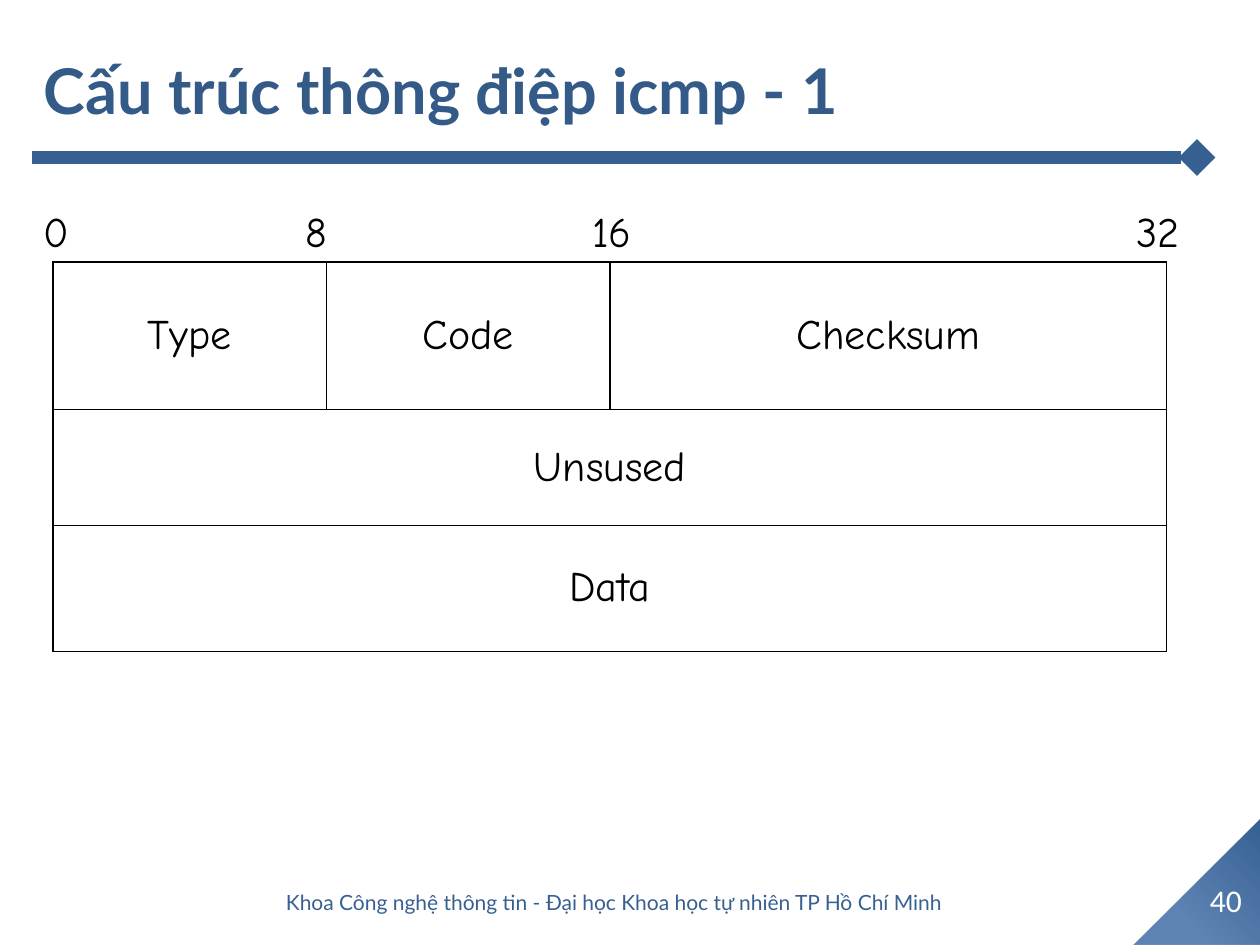
import pptx
import pptx.util
import pptx.dml.color
import pptx.enum.shapes
import pptx.enum.text
import pptx.oxml
import pptx.oxml.ns

Inches = pptx.util.Inches
Align = pptx.enum.text.PP_ALIGN
Anchor = pptx.enum.text.MSO_ANCHOR

TITLE = "Cấu trúc thông điệp icmp - 1"
FOOTER = "Khoa Công nghệ thông tin - Đại học Khoa học tự nhiên TP Hồ Chí Minh"
PAGE_NUMBER = "40"
BIT_MARKS = [("0", 0.25, 0.4), ("8", 2.33, 0.4), ("16", 4.6, 0.55), ("32", 8.92, 0.61)]
FIELD_ROWS = [["Type", "Code", "Checksum"], ["Unsused"], ["Data"]]
COLUMN_WIDTHS = [2.17, 2.25, 4.42]
ROW_HEIGHTS = [1.17, 0.92, 1]

THEME = {
    "title": {"font": "Lato", "size": 36, "color": "345A88", "bold": True},
    "body": {"font": "Comic Neue", "size": 24, "color": "000000"},
    "number": {"font": "Calibri", "size": 18, "color": "FFFFFF"},
    "footer": {"font": "Lato", "size": 12, "color": "376092"},
    "accent": "376092",
    "accent_light": "3D6CA4",
    "border": "000000",
}


def rgb(code):
    return pptx.dml.color.RGBColor.from_string(code)


def write_text(frame, text, font, size, color, bold=False, align=Align.LEFT):
    para = frame.paragraphs[0]
    para.alignment = align
    span = para.add_run()
    span.text = text
    span.font.name = font
    span.font.size = pptx.util.Pt(size)
    span.font.bold = bold
    span.font.color.rgb = rgb(color)


def add_text(page, text, place, style, align=Align.LEFT, anchor=Anchor.MIDDLE, wrap=True):
    box = page.shapes.add_textbox(*map(Inches, place))
    box.text_frame.word_wrap = wrap
    box.text_frame.vertical_anchor = anchor
    write_text(box.text_frame, text, align=align, **THEME[style])


def add_xml(parent, body):
    element = pptx.oxml.parse_xml(body.replace(">", " " + pptx.oxml.ns.nsdecls("a") + ">", 1))
    parent.append(element)
    return element


def add_corner(page):
    corner = page.shapes.add_shape(
        pptx.enum.shapes.MSO_SHAPE.RIGHT_TRIANGLE, Inches(9), Inches(6.5), Inches(1), Inches(1))
    corner.rotation = 270
    corner.shadow.inherit = False
    corner.line.fill.background()
    corner.fill.gradient()
    properties = corner.element.spPr
    gradient = properties.find(pptx.oxml.ns.qn("a:gradFill"))
    replacement = add_xml(properties, (
        '<a:gradFill rotWithShape="0"><a:gsLst>'
        f'<a:gs pos="0"><a:srgbClr val="{THEME["accent"]}"/></a:gs>'
        f'<a:gs pos="68000"><a:srgbClr val="{THEME["accent_light"]}">'
        '<a:alpha val="83000"/></a:srgbClr></a:gs></a:gsLst>'
        '<a:path path="circle"><a:fillToRect l="100000" b="100000"/></a:path></a:gradFill>'))
    properties.replace(gradient, replacement)


def add_title_rule(page):
    rule = page.shapes.add_connector(
        pptx.enum.shapes.MSO_CONNECTOR.STRAIGHT, Inches(0.25), Inches(1.25), Inches(9.5), Inches(1.25))
    rule.line.color.rgb = rgb(THEME["accent"])
    rule.line.width = pptx.util.Pt(7)
    add_xml(rule.line._get_or_add_ln(), '<a:tailEnd type="diamond"></a:tailEnd>')
    add_xml(rule.element.spPr, "<a:effectLst></a:effectLst>")


def add_borders(cell):
    properties = cell._tc.get_or_add_tcPr()
    for position, side in enumerate(("lnL", "lnR", "lnT", "lnB")):
        border = add_xml(properties, (
            f'<a:{side} w="12700"><a:solidFill><a:srgbClr val="{THEME["border"]}"/>'
            f'</a:solidFill></a:{side}>'))
        properties.insert(position, border)


def add_message_table(page):
    table = page.shapes.add_table(
        len(ROW_HEIGHTS), len(COLUMN_WIDTHS), Inches(0.42), Inches(2.08),
        Inches(sum(COLUMN_WIDTHS)), Inches(sum(ROW_HEIGHTS))).table
    table.first_row = table.horz_banding = False
    for column, width in zip(table.columns, COLUMN_WIDTHS):
        column.width = Inches(width)
    for row, height in zip(table.rows, ROW_HEIGHTS):
        row.height = Inches(height)
    for cell in table.iter_cells():
        cell.fill.background()
        add_borders(cell)
    for row, fields in enumerate(FIELD_ROWS):
        if len(fields) == 1:
            table.cell(row, 0).merge(table.cell(row, len(COLUMN_WIDTHS) - 1))
        for column, field in enumerate(fields):
            cell = table.cell(row, column)
            cell.vertical_anchor = Anchor.MIDDLE
            write_text(cell.text_frame, field, align=Align.CENTER, **THEME["body"])


deck = pptx.Presentation()
deck.slide_width, deck.slide_height = Inches(10), Inches(7.5)
page = deck.slides.add_slide(deck.slide_layouts[6])

add_corner(page)
add_title_rule(page)
add_text(page, TITLE, (0.25, 0.08, 9.57, 1.25), "title")
add_message_table(page)
for mark, left, width in BIT_MARKS:
    add_text(page, mark, (left, 1.58, width, 0.5), "body", anchor=Anchor.TOP, wrap=False)
add_text(page, PAGE_NUMBER, (9.46, 6.94, 0.54, 0.4), "number", align=Align.CENTER)
add_text(page, FOOTER, (1.25, 6.96, 7.25, 0.4), "footer", align=Align.CENTER)

deck.save("out.pptx")
